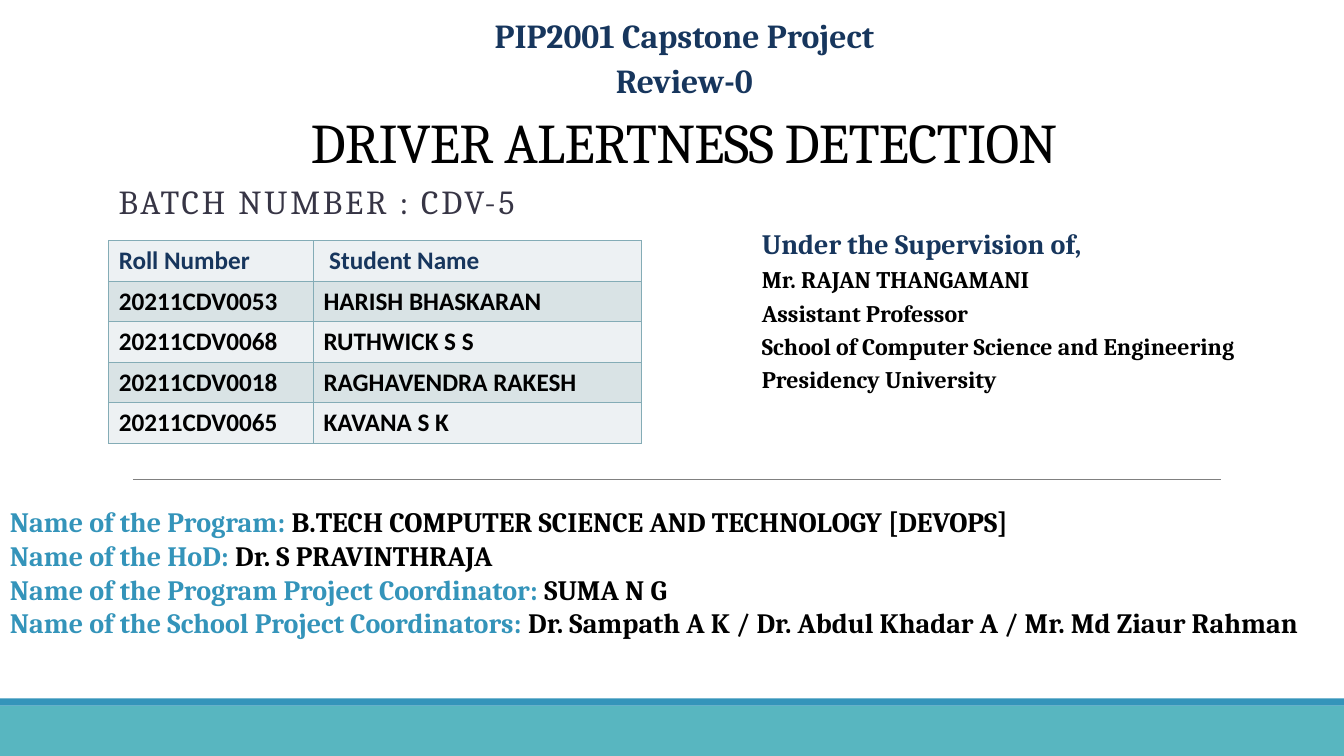
from dataclasses import dataclass

import pptx
import pptx.dml.color
import pptx.enum.shapes
import pptx.enum.text
import pptx.oxml
import pptx.oxml.ns
import pptx.util
from pptx.util import Cm, Pt


@dataclass(frozen=True)
class Theme:
    serif: str = "Cambria"
    sans: str = "Calibri"
    navy: str = "17365D"
    blue: str = "3494BA"
    teal: str = "58B6C0"
    slate: str = "373545"
    black: str = "000000"
    grey: str = "808080"
    table_border: str = "84ACB6"
    row_fills: tuple = ("EDF1F3", "D9E3E5")
    title: int = 40
    heading: int = 24
    label: int = 20
    table: int = 18
    body: int = 17


theme = Theme()
rgb = pptx.dml.color.RGBColor.from_string
align = pptx.enum.text.PP_ALIGN
anchor = pptx.enum.text.MSO_ANCHOR

presentation = pptx.Presentation()
presentation.slide_width = Cm(33.87)
presentation.slide_height = Cm(19.05)
slide = presentation.slides.add_slide(presentation.slide_layouts[6])


def style(paragraph, size, color, bold=True, name=theme.serif):
    paragraph.font.name = name
    paragraph.font.size = Pt(size)
    paragraph.font.bold = bold
    if color:
        paragraph.font.color.rgb = rgb(color)


def add_text(left, top, width, height, lines, space_before=0):
    """Add a wrapping text box; each line is (text, size, color, bold)."""
    box = slide.shapes.add_textbox(Cm(left), Cm(top), Cm(width), Cm(height))
    frame = box.text_frame
    frame.word_wrap = True
    for index, (text, size, color, bold) in enumerate(lines):
        paragraph = frame.add_paragraph() if index else frame.paragraphs[0]
        if text:
            paragraph.add_run().text = text
        style(paragraph, size, color, bold)
        if index:
            paragraph.space_before = Pt(space_before)
    return frame


# Footer bars and divider
for top, height, color in ((17.78, 1.27, theme.teal), (17.6, 0.18, theme.blue)):
    bar = slide.shapes.add_shape(
        pptx.enum.shapes.MSO_SHAPE.RECTANGLE, 0, Cm(top), presentation.slide_width, Cm(height))
    bar.shadow.inherit = False
    bar.fill.solid()
    bar.fill.fore_color.rgb = rgb(color)
    bar.line.fill.background()

divider = slide.shapes.add_connector(
    pptx.enum.shapes.MSO_CONNECTOR.STRAIGHT, Cm(3.35), Cm(12.07), Cm(30.78), Cm(12.07))
divider.line.color.rgb = rgb(theme.grey)
divider.line.width = Pt(0.5)
divider._element.spPr.append(pptx.oxml.parse_xml(
    f'<a:effectLst {pptx.oxml.ns.nsdecls("a")}/>'))

# Headings
title = add_text(4.04, 2.41, 26.39, 2.57,
                 [("DRIVER ALERTNESS DETECTION", theme.title, theme.black, False)])
title.vertical_anchor = anchor.MIDDLE
title.paragraphs[0].alignment = align.CENTER
batch = add_text(2.74, 4.55, 11.02, 1.52,
                 [("BATCH NUMBER : CDV-5", theme.heading, theme.slate, False)])
for frame, line_spacing, tracking in ((title, 0.85, -50), (batch, 0.9, 200)):
    paragraph = frame.paragraphs[0]
    paragraph.line_spacing = line_spacing
    paragraph.runs[0]._r.get_or_add_rPr().set("spc", str(tracking))

review = add_text(6.4, 0.25, 21.69, 1.52, [
    (text, theme.heading, theme.navy, True)
    for text in ("PIP2001 Capstone Project", "Review-0")], space_before=3.1)
for paragraph in review.paragraphs:
    paragraph.alignment = align.CENTER

# Students
students = (
    ("Roll Number", " Student Name"),
    ("20211CDV0053", "HARISH BHASKARAN"),
    ("20211CDV0068", "RUTHWICK S S"),
    ("20211CDV0018", "RAGHAVENDRA RAKESH"),
    ("20211CDV0065", "KAVANA S K"),
)
column_widths = (5.16, 8.26)
row_height = 1.02
table = slide.shapes.add_table(
    len(students), len(column_widths), Cm(2.74), Cm(6.07),
    Cm(sum(column_widths)), Cm(row_height * len(students))).table
for column, width in zip(table.columns, column_widths):
    column.width = Cm(width)
for row_index, student in enumerate(students):
    table.rows[row_index].height = Cm(row_height)
    for column_index, text in enumerate(student):
        cell = table.cell(row_index, column_index)
        cell.text = text
        cell.vertical_anchor = anchor.MIDDLE
        style(cell.text_frame.paragraphs[0], theme.table,
              theme.black if row_index else theme.navy, name=theme.sans)
        properties = cell._tc.get_or_add_tcPr()
        for side in ("lnL", "lnR", "lnT", "lnB"):
            properties.append(pptx.oxml.parse_xml(
                f'<a:{side} {pptx.oxml.ns.nsdecls("a")} w="{Pt(1)}"><a:solidFill>'
                f'<a:srgbClr val="{theme.table_border}"/></a:solidFill></a:{side}>'))
        cell.fill.solid()
        cell.fill.fore_color.rgb = rgb(theme.row_fills[row_index % 2])

# Supervisor
supervisor = ("Mr. RAJAN THANGAMANI", "Assistant Professor",
              "School of Computer Science and Engineering", "Presidency University")
add_text(18.95, 5.59, 14.9, 5.61,
         [("Under the Supervision of,", theme.label, theme.navy, True)]
         + [(text, theme.body, theme.black, True) for text in supervisor],
         space_before=3.4)

# Programme details
details = (
    ("Name of the Program: ", "B.TECH COMPUTER SCIENCE AND TECHNOLOGY [DEVOPS]"),
    ("Name of the HoD: ", "Dr. S PRAVINTHRAJA"),
    ("Name of the Program Project Coordinator: ", "SUMA N G"),
    ("Name of the School Project Coordinators: ",
     "Dr. Sampath A K / Dr. Abdul Khadar A / Mr. Md Ziaur Rahman"),
)
details_frame = add_text(0, 12.6, 33.87, 4.34, [("", theme.label, None, True)] * len(details))
for paragraph, parts in zip(details_frame.paragraphs, details):
    for text, color in zip(parts, (theme.blue, theme.black)):
        run = paragraph.add_run()
        run.text = text
        run.font.color.rgb = rgb(color)

presentation.save("out.pptx")
